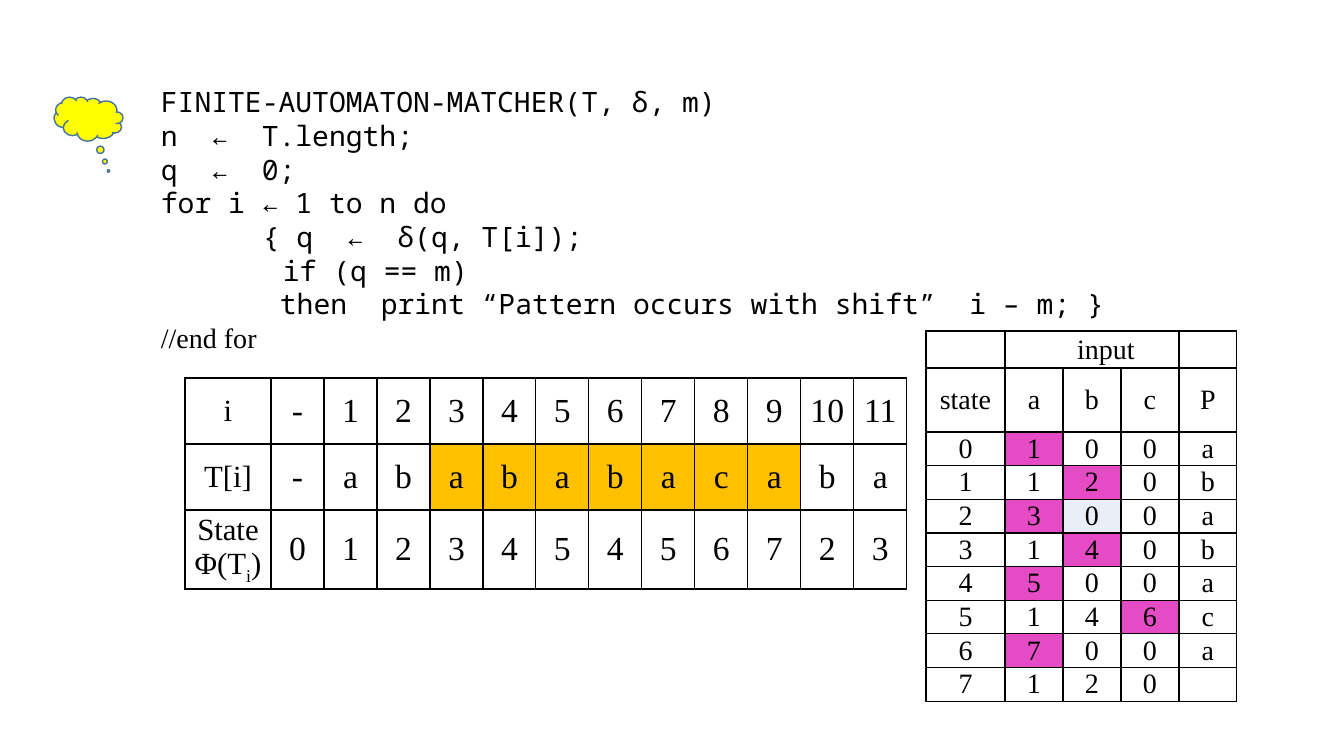
"""Build the slide on the finite automaton matcher."""
from lxml.etree import SubElement
from pptx import Presentation
from pptx.dml.color import RGBColor
from pptx.enum.shapes import MSO_SHAPE as Shape
from pptx.enum.text import MSO_ANCHOR as Anchor, PP_ALIGN as Align
from pptx.oxml.ns import qn
from pptx.util import Pt

PX = 914400 / 100.8
BLACK = RGBColor(0x00, 0x00, 0x00)
WHITE = RGBColor(0xFF, 0xFF, 0xFF)
PINK = RGBColor(0xE5, 0x4B, 0xC4)
PALE = RGBColor(0xEA, 0xEF, 0xF7)
GOLD = RGBColor(0xFF, 0xC0, 0x00)
YELLOW = RGBColor(0xFF, 0xFF, 0x00)
BLUE = RGBColor(0x43, 0x73, 0x9E)
MONO = "Noto Sans Mono"
SERIF = "Times New Roman"


def px(*nums):
    return [round(num * PX) for num in nums]


def add_grid(left, top, widths, heights):
    box = px(left, top, sum(widths), sum(heights))
    grid = slide.shapes.add_table(len(heights), len(widths), *box).table
    for col, width in zip(grid.columns, px(*widths)):
        col.width = width
    for row, height in zip(grid.rows, px(*heights)):
        row.height = height
    for cell in grid.iter_cells():
        cell.margin_left, cell.margin_right = px(7, 7)
        cell.margin_top = cell.margin_bottom = 0
        cell.vertical_anchor = Anchor.MIDDLE
        props = cell._tc.get_or_add_tcPr()
        for side in ("a:lnL", "a:lnR", "a:lnT", "a:lnB"):
            line = SubElement(props, qn(side), w=str(Pt(1)))
            fill = SubElement(line, qn("a:solidFill"))
            SubElement(fill, qn("a:srgbClr"), val=str(BLACK))
        cell.fill.solid()
        cell.fill.fore_color.rgb = WHITE
    return grid


def set_font(para, size, name=SERIF):
    para.font.size = Pt(size)
    para.font.name = name
    para.font.color.rgb = BLACK


deck = Presentation()
deck.slide_width, deck.slide_height = px(1344, 756)
slide = deck.slides.add_slide(deck.slide_layouts[6])

code = [
    ("FINITE-AUTOMATON-MATCHER(T, δ, m)", 0),
    ("n  ←  T.length;", 0),
    ("q  ←  0;", 0),
    ("for i ← 1 to n do", 0),
    ("{ q  ←  δ(q, T[i]);", 102),
    ("if (q == m)", 122),
    ("then  print “Pattern occurs with shift”  i – m; } ", 119),
]
frame = slide.shapes.add_textbox(*px(151, 80, 1025, 281)).text_frame
frame.word_wrap = True
for num, (text, indent) in enumerate(code):
    para = frame.add_paragraph() if num else frame.paragraphs[0]
    para.add_run().text = text
    para._p.get_or_add_pPr().set("indent", str(px(indent)[0]))
    set_font(para, 20, MONO)
end = para.add_run()
end.text = "//end for"
end.font.name = SERIF

states = ["100a", "120b", "300a", "140b", "500a", "146c", "700a", "120"]
rows = ["", "input"], ["state", *"abcP"]
rows += tuple([str(num), *row] for num, row in enumerate(states))
grid = add_grid(926, 331, [79] + [58] * 4, [37, 64] + [32] * 8)
grid.cell(0, 1).merge(grid.cell(0, 3))
grid.cell(0, 1).margin_left = px(35)[0]
for r, row in enumerate(rows):
    for c, text in enumerate(row):
        cell = grid.cell(r, c)
        cell.text = text
        cell.text_frame.paragraphs[0].alignment = Align.CENTER
        set_font(cell.text_frame.paragraphs[0], 20)
        if r > 1 and text == str(r - 1) and c > 0:
            cell.fill.fore_color.rgb = PINK
grid.cell(4, 2).fill.fore_color.rgb = PALE

trace = [
    ["i", "-", *map(str, range(1, 12))],
    ["T[i]", "-", *"abababacaba"],
    ["State Φ(T", *"012345456723"],
]
grid = add_grid(185, 378, [86] + [53] * 12, [66, 66, 69])
for r, row in enumerate(trace):
    for c, text in enumerate(row):
        cell = grid.cell(r, c)
        cell.text = text
        para = cell.text_frame.paragraphs[0]
        para.alignment = Align.CENTER
        set_font(para, 24 if c else 22)
        if r == 1 and 4 <= c <= 10:
            cell.fill.fore_color.rgb = GOLD
para = grid.cell(2, 0).text_frame.paragraphs[0]
sub = para.add_run()
sub.text = "i"
sub.font._element.set("baseline", "-25000")
para.add_run().text = ")"

cloud = slide.shapes.add_shape(Shape.CLOUD_CALLOUT, *px(54, 97, 69, 44))
cloud.shadow.inherit = False
cloud._element.spPr.xfrm.set("flipH", "1")
cloud.adjustments[0] = -0.29
cloud.adjustments[1] = 1.18
cloud.fill.solid()
cloud.fill.fore_color.rgb = YELLOW
cloud.line.color.rgb = BLUE
cloud.line.width = Pt(1)

deck.save("out.pptx")
